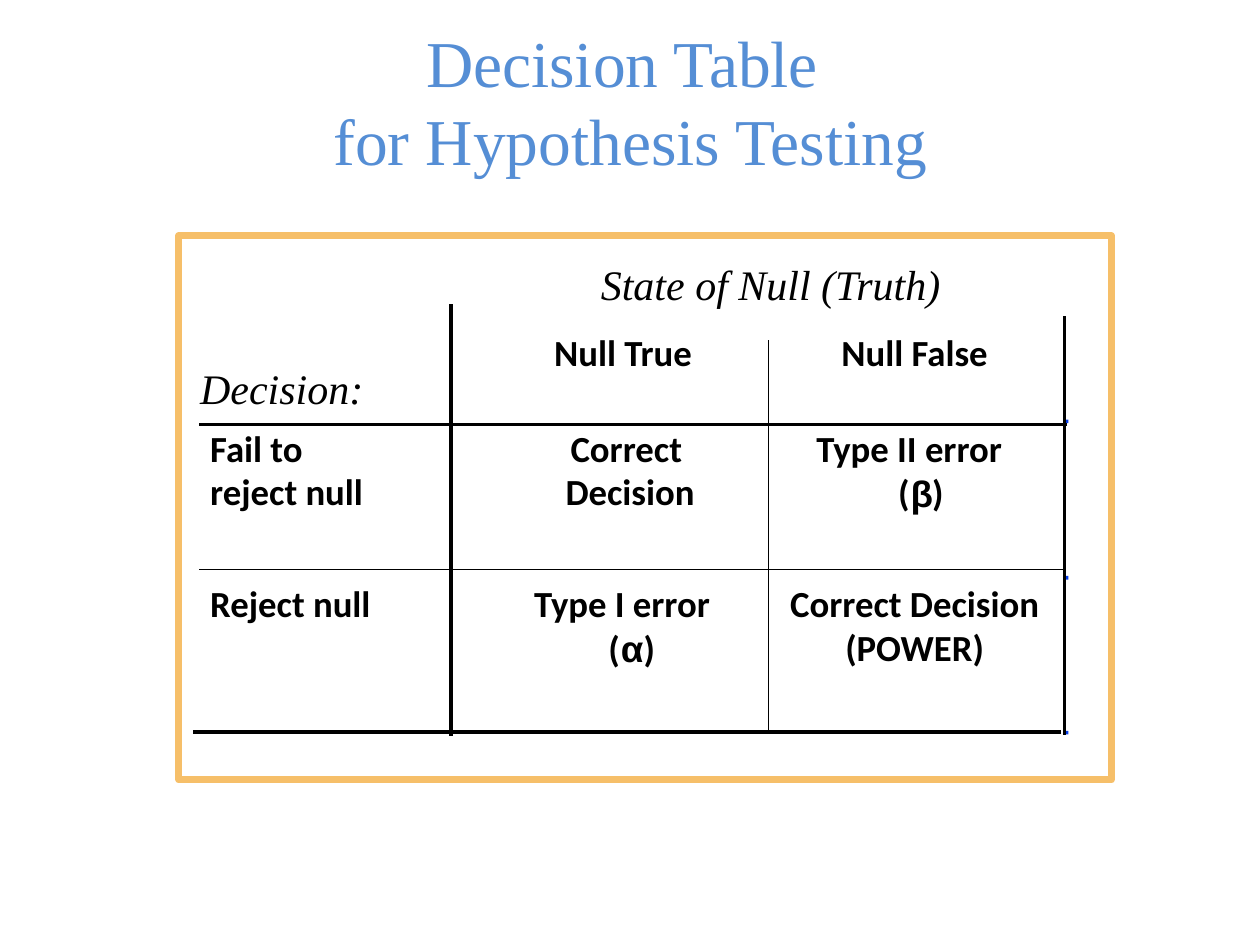
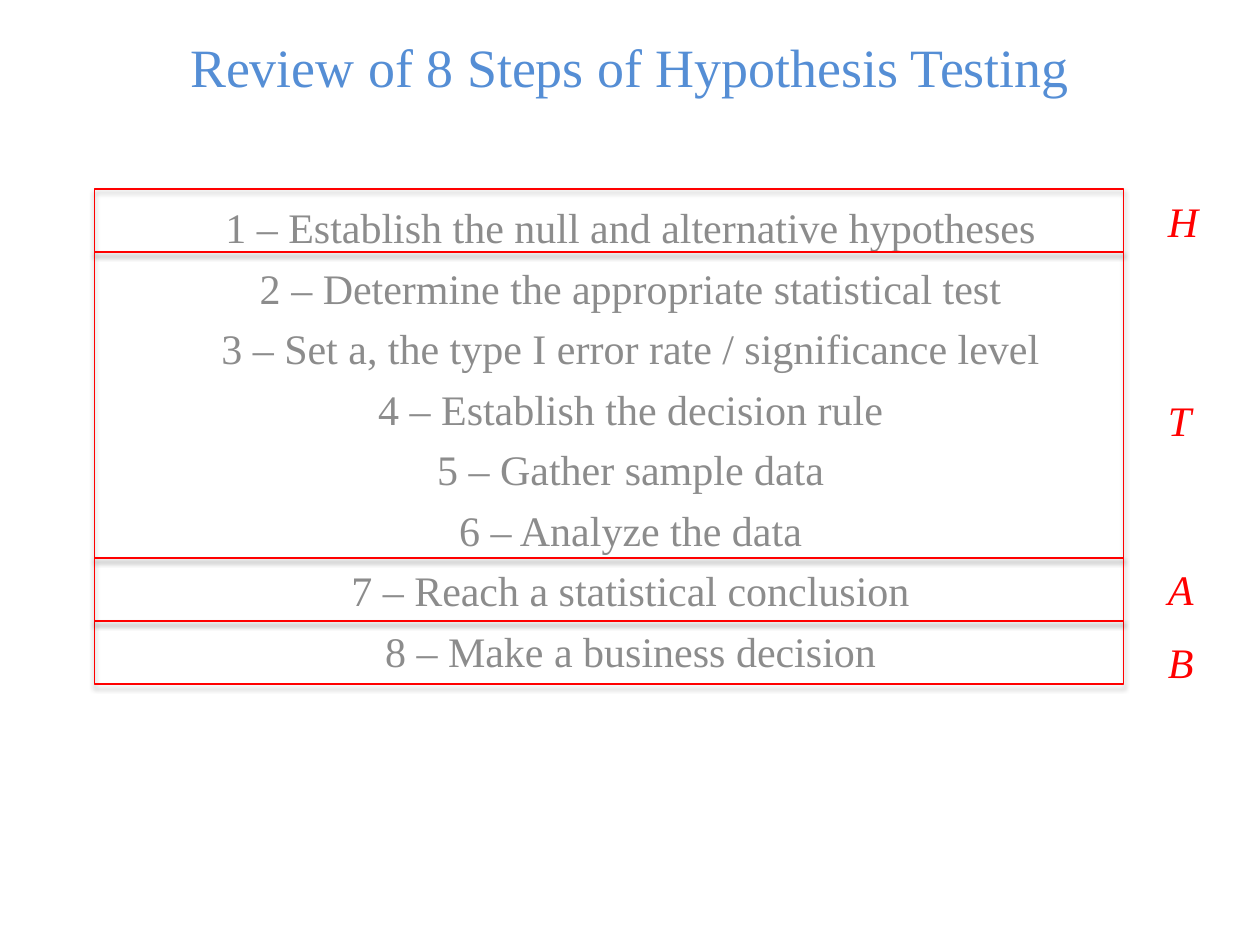
import pptx
import pptx.dml.color
import pptx.enum.shapes
import pptx.enum.text
import pptx.oxml
import pptx.oxml.ns
import pptx.util
from pptx.util import Inches

SERIF = "Times New Roman"
SANS = "Calibri"
TITLE_BLUE = "558ED5"
FRAME_ORANGE = "F6BF69"
DOT_BLUE = "063DE8"
STEP_GREY = "8C8C8C"
RED = "FF0000"
BLACK = "000000"
CENTER = pptx.enum.text.PP_ALIGN.CENTER
RECTANGLE = pptx.enum.shapes.MSO_SHAPE.RECTANGLE
STRAIGHT = pptx.enum.shapes.MSO_CONNECTOR.STRAIGHT
AUTO_SIZE = pptx.enum.text.MSO_AUTO_SIZE


def color(code):
    """Turn a hex string into a colour."""
    return pptx.dml.color.RGBColor.from_string(code)


def format_font(font, size, name, code, bold=False, italic=False):
    """Set every property of a font."""
    font.size = pptx.util.Pt(size)
    font.name = name
    font.color.rgb = color(code)
    font.bold = bold
    font.italic = italic


def add_titled_page(deck, text, place, size):
    """Add a title-only page with the shared title style."""
    page = deck.slides.add_slide(deck.slide_layouts[5])
    title = page.shapes.title
    title.left, title.top, title.width, title.height = map(Inches, place)
    frame = title.text_frame
    frame.text = text
    frame.auto_size = AUTO_SIZE.NONE
    frame.vertical_anchor = pptx.enum.text.MSO_ANCHOR.MIDDLE
    para = frame.paragraphs[0]
    para.alignment = CENTER
    for span in para.runs:
        format_font(span.font, size, SERIF, TITLE_BLUE)
    return page


def add_text(shapes, text, place, align=None, wrap=False, grow=True,
             space_before=None, **font):
    """Add a text box with one paragraph for each line of text."""
    box = shapes.add_textbox(*map(Inches, place))
    frame = box.text_frame
    frame.word_wrap = wrap
    frame.auto_size = AUTO_SIZE.SHAPE_TO_FIT_TEXT if grow else AUTO_SIZE.NONE
    frame.text = text
    for para in frame.paragraphs:
        para.alignment = align
        if space_before is not None:
            para.space_before = pptx.util.Pt(space_before)
        format_font(para.runs[0].font, **font)


def add_rectangle(shapes, place, fill=None, line=None, width=1):
    """Add a rectangle with an optional fill and outline."""
    box = shapes.add_shape(RECTANGLE, *map(Inches, place))
    box.shadow.inherit = False
    if fill:
        box.fill.solid()
        box.fill.fore_color.rgb = color(fill)
    else:
        box.fill.background()
    if line:
        box.line.color.rgb = color(line)
        box.line.width = pptx.util.Pt(width)
    else:
        box.line.fill.background()
    return box


def add_soft_shadow(box):
    """Give a shape a soft black shadow straight below it."""
    effects = box._element.spPr.find(pptx.oxml.ns.qn("a:effectLst"))
    effects.append(pptx.oxml.parse_xml(
        f'<a:outerShdw {pptx.oxml.ns.nsdecls("a")} blurRad="{pptx.util.Pt(3.1)}" '
        f'dist="{pptx.util.Pt(1.8)}" dir="5400000" rotWithShape="0">'
        f'<a:srgbClr val="{BLACK}"><a:alpha val="35000"/></a:srgbClr>'
        '</a:outerShdw>'))


def add_rule(shapes, start, end, width):
    """Add a straight black line without a shadow."""
    rule = shapes.add_connector(STRAIGHT, *map(Inches, start + end))
    rule.line.color.rgb = color(BLACK)
    rule.line.width = pptx.util.Pt(width)
    rule._element.spPr.append(pptx.oxml.parse_xml(
        f'<a:effectLst {pptx.oxml.ns.nsdecls("a")}/>'))


def build_decision_table(deck):
    """Build the page that sets decisions against the state of the null."""
    page = add_titled_page(deck, "Decision Table \vfor Hypothesis Testing",
                           (0.42, 0.25, 9.17, 1.09), 37.4)
    group = page.shapes.add_group_shape().shapes
    add_rectangle(group, (1.42, 1.87, 7.4, 4.32), line=FRAME_ORANGE, width=4)
    for top in (3.33, 4.57, 5.8):
        add_rectangle(group, (8.45, top, 0.03, 0.03), fill=DOT_BLUE)

    cells = [
        ("Null True", 4.3, 2.57, 1.32), ("Null False", 6.58, 2.57, 1.38),
        ("Fail to", 1.57, 3.33, 0.95), ("reject null", 1.57, 3.67, 1.47),
        ("Correct", 4.43, 3.33, 1.1), ("Decision", 4.39, 3.67, 1.26),
        ("Type II error", 6.38, 3.33, 1.71),
        ("(", 7.03, 3.68, 0.3), (")", 7.3, 3.68, 0.3),
        ("Reject null", 1.57, 4.56, 1.49), ("Type I error", 4.14, 4.56, 1.63),
        ("(", 4.73, 4.92, 0.3), (")", 5.01, 4.92, 0.3),
    ]
    for text, left, top, width in cells:
        add_text(group, text, (left, top, width, 0.45),
                 size=21, name=SANS, code=BLACK, bold=True)
    for text, left, top in (("β", 7.13, 3.69), ("α", 4.83, 4.92)):
        add_text(group, text, (left, top, 0.36, 0.45), wrap=True,
                 size=21, name="Arial", code=BLACK, bold=True)
    add_text(group, "Correct Decision\n(POWER)", (6.16, 4.56, 2.2, 0.81),
             align=CENTER, size=21, name=SANS, code=BLACK, bold=True)

    for x, bottom, top, width in ((3.58, 5.84, 2.41, 2), (6.1, 5.82, 2.7, 1),
                                  (8.45, 5.83, 2.51, 2)):
        add_rule(group, (x, bottom), (x, top), width)
    for y, right, left, width in ((3.37, 8.47, 1.58, 2), (5.81, 8.42, 1.53, 2),
                                  (4.52, 8.46, 1.58, 1)):
        add_rule(group, (right, y), (left, y), width)

    for text, place in (("State of Null (Truth)", (4.67, 2, 2.92, 0.51)),
                        ("Decision:", (1.49, 2.83, 1.51, 0.51))):
        add_text(page.shapes, text, place,
                 size=24, name=SERIF, code=BLACK, italic=True)


def build_steps(deck):
    """Build the page that lists the eight steps in four lettered bands."""
    page = add_titled_page(deck, "Review of 8 Steps of Hypothesis Testing",
                           (0.21, 0.25, 9.58, 0.55), 30.8)
    steps = [
        "Establish the null and alternative hypotheses",
        "Determine the appropriate statistical test",
        "Set a, the type I error rate / significance level",
        "Establish the decision rule",
        "Gather sample data",
        "Analyze the data",
        "Reach a statistical conclusion",
        "Make a business decision",
    ]
    text = "\n".join(f"{number} – {step}" for number, step in enumerate(steps, 1))
    add_text(page.shapes, text, (0.42, 1.55, 9.17, 5.45), align=CENTER,
             wrap=True, grow=False, space_before=5.8,
             size=24, name=SERIF, code=STEP_GREY)
    for top, height in ((1.5, 0.5), (2, 2.43), (4.93, 0.5), (4.43, 0.5)):
        band = add_rectangle(page.shapes, (0.75, top, 8.17, height),
                             line=RED, width=0.75)
        add_soft_shadow(band)
    for letter, top, width in (("H", 1.5, 0.45), ("T", 3.08, 0.39),
                               ("A", 4.42, 0.41), ("B", 5, 0.41)):
        add_text(page.shapes, letter, (9.17, top, width, 0.51),
                 size=24, name=SERIF, code=RED, italic=True)


def main():
    """Build and save the deck."""
    deck = pptx.Presentation()
    deck.slide_width, deck.slide_height = Inches(10), Inches(7.5)
    build_decision_table(deck)
    build_steps(deck)
    deck.save("out.pptx")


main()
